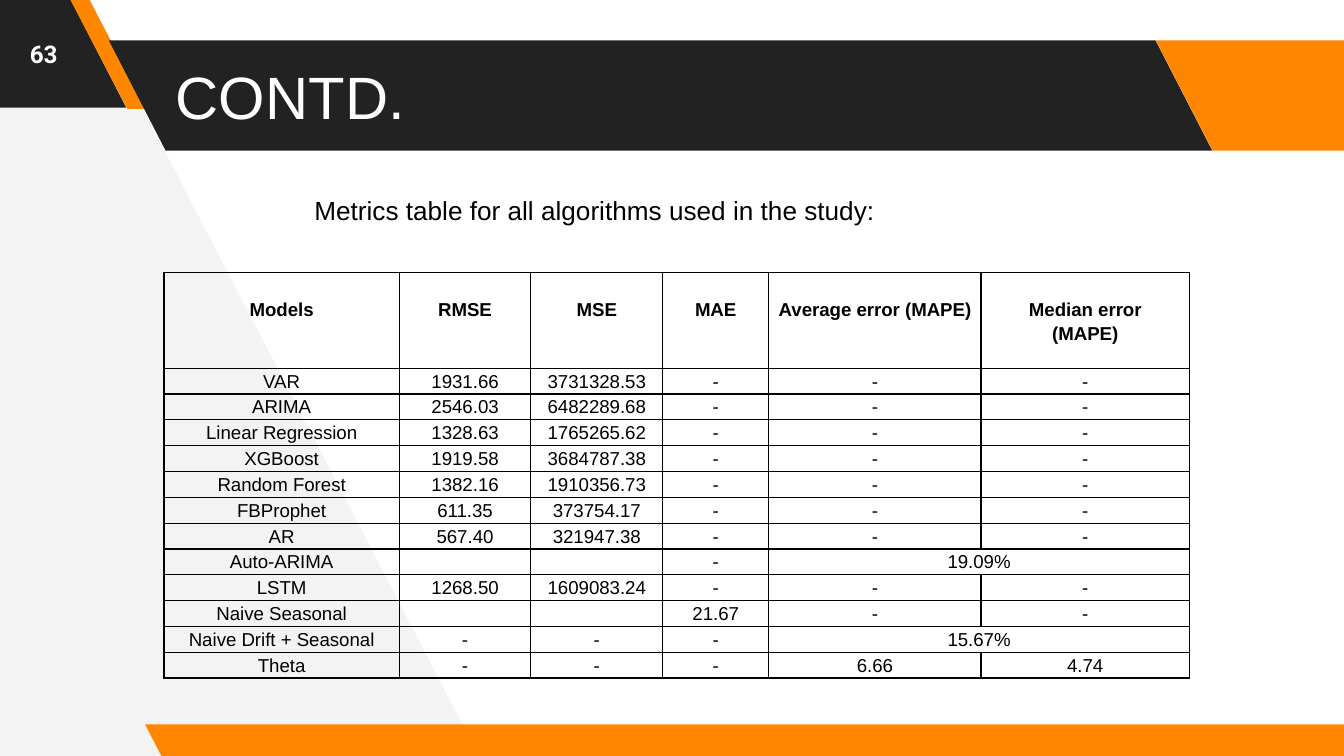
from dataclasses import dataclass

from lxml import etree
from pptx import Presentation
from pptx.dml.color import RGBColor
from pptx.enum.shapes import MSO_SHAPE as Shape
from pptx.enum.text import MSO_ANCHOR as Anchor, PP_ALIGN as Align
from pptx.oxml.ns import qn
from pptx.util import Inches, Pt


@dataclass(frozen=True)
class Theme:
    ink: str = "000000"
    dark: str = "222222"
    accent: str = "FF8700"
    pale: str = "F3F3F3"
    white: str = "FFFFFF"
    body_font: str = "Arial"
    number_font: str = "Roboto"
    title_size: float = 32
    lead_size: float = 14
    number_size: float = 13
    table_size: float = 10
    rule_width: float = 0.75


HEADINGS = ["Models", "RMSE", "MSE", "MAE", "Average error (MAPE)",
            "Median error\n(MAPE)"]
# None marks a cell covered by the merged cell on its left.
METRICS = [
    ["VAR", "1931.66", "3731328.53", "-", "-", "-"],
    ["ARIMA", "2546.03", "6482289.68", "-", "-", "-"],
    ["Linear Regression", "1328.63", "1765265.62", "-", "-", "-"],
    ["XGBoost", "1919.58", "3684787.38", "-", "-", "-"],
    ["Random Forest", "1382.16", "1910356.73", "-", "-", "-"],
    ["FBProphet", "611.35", "373754.17", "-", "-", "-"],
    ["AR", "567.40", "321947.38", "-", "-", "-"],
    ["Auto-ARIMA", "", "", "-", "19.09%", None],
    ["LSTM", "1268.50", "1609083.24", "-", "-", "-"],
    ["Naive Seasonal", "", "", "21.67", "-", "-"],
    ["Naive Drift + Seasonal", "-", "-", "-", "15.67%", None],
    ["Theta", "-", "-", "-", "6.66", "4.74"],
]
COLUMN_WIDTHS = [1.75, 0.98, 0.98, 0.79, 1.58, 1.55]


class SlideBuilder:
    def __init__(self, page, theme):
        self.page = page
        self.theme = theme

    def paint(self, shape, color):
        shape.shadow.inherit = False
        shape.fill.solid()
        shape.fill.fore_color.rgb = RGBColor.from_string(color)
        shape.line.fill.background()

    def polygon(self, points, color):
        corners = [(Inches(x), Inches(y)) for x, y in points]
        builder = self.page.shapes.build_freeform(*corners[0])
        builder.add_line_segments(corners[1:], close=True)
        self.paint(builder.convert_to_shape(), color)

    def slanted_band(self, left, top, width, height, color, slant=0.515):
        """Draw a parallelogram whose sides lean to the left."""
        band = self.page.shapes.add_shape(
            Shape.PARALLELOGRAM, Inches(left), Inches(top), Inches(width), Inches(height))
        band.adjustments[0] = slant
        band._element.spPr.xfrm.set("flipH", "1")
        self.paint(band, color)

    def style(self, para, size, color, name=None, bold=False):
        font = para.font
        font.name = name or self.theme.body_font
        font.size = Pt(size)
        font.bold = bold
        font.color.rgb = RGBColor.from_string(color)

    def text(self, words, left, top, width, height, size, color, name=None,
             bold=False, align=Align.LEFT, anchor=Anchor.MIDDLE):
        box = self.page.shapes.add_textbox(
            Inches(left), Inches(top), Inches(width), Inches(height))
        frame = box.text_frame
        frame.word_wrap = True
        frame.vertical_anchor = anchor
        para = frame.paragraphs[0]
        para.text = words
        para.alignment = align
        self.style(para, size, color, name, bold)

    def border(self, cell):
        properties = cell._tc.get_or_add_tcPr()
        for position, side in enumerate(("lnL", "lnR", "lnT", "lnB")):
            line = etree.Element(qn(f"a:{side}"), w=str(Pt(self.theme.rule_width)))
            fill = etree.SubElement(line, qn("a:solidFill"))
            etree.SubElement(fill, qn("a:srgbClr"), val=self.theme.ink)
            properties.insert(position, line)

    def fill_cell(self, cell, words, heading):
        cell.fill.background()
        cell.margin_left = cell.margin_right = Inches(0.07)
        cell.margin_top = Inches(0.18 if heading else 0)
        cell.margin_bottom = 0
        cell.text = words or ""
        for para in cell.text_frame.paragraphs:
            para.alignment = Align.CENTER
            para.line_spacing = 1.15
            self.style(para, self.theme.table_size, self.theme.ink, bold=heading)
            if not words:
                # An empty cell takes its line height from the end mark.
                end = para._p.get_or_add_endParaRPr()
                end.set("sz", str(int(self.theme.table_size * 100)))
        self.border(cell)

    def table(self, rows, widths, left, top, height, heading_height):
        frame = self.page.shapes.add_table(
            len(rows), len(widths), Inches(left), Inches(top),
            Inches(sum(widths)), Inches(height))
        table = frame.table
        table.first_row = table.horz_banding = False
        for column, width in zip(table.columns, widths):
            column.width = Inches(width)
        row_height = (height - heading_height) / (len(rows) - 1)
        for r, values in enumerate(rows):
            table.rows[r].height = Inches(row_height if r else heading_height)
            for c, words in enumerate(values):
                self.fill_cell(table.cell(r, c), words, heading=r == 0)
                if words is None:
                    table.cell(r, c - 1).merge(table.cell(r, c))


def main():
    deck = Presentation()
    deck.slide_width = Inches(10)
    deck.slide_height = deck.slide_width * 9 // 16
    theme = Theme()
    slide = SlideBuilder(deck.slides.add_slide(deck.slide_layouts[6]), theme)

    slide.polygon([(3.56, 5.62), (0.62, -0.04), (-0.06, -0.04), (-0.02, 5.66)], theme.pale)
    slide.slanted_band(-0.99, -0.02, 1.93, 0.82, theme.dark)
    slide.slanted_band(0.52, -0.01, 0.57, 0.82, theme.accent, slant=0.75)
    slide.slanted_band(0.81, 0.3, 8.21, 0.82, theme.dark)
    slide.slanted_band(8.6, 0.3, 1.92, 0.82, theme.accent)
    slide.slanted_band(1.08, 5.39, 9.15, 0.25, theme.accent)

    slide.text("CONTD.", 1.21, 0.3, 7.35, 0.82, theme.title_size, theme.white)
    slide.text("63", 0, 0, 0.65, 0.8, theme.number_size, theme.white,
               name=theme.number_font, bold=True, align=Align.CENTER)
    slide.text("Metrics table for all algorithms used in the study:",
               2.24, 1.4, 5.28, 0.34, theme.lead_size, theme.ink, anchor=Anchor.TOP)
    slide.table([HEADINGS] + METRICS, COLUMN_WIDTHS, 1.22, 2.03, 3.01, 0.71)

    deck.save("out.pptx")


if __name__ == "__main__":
    main()
